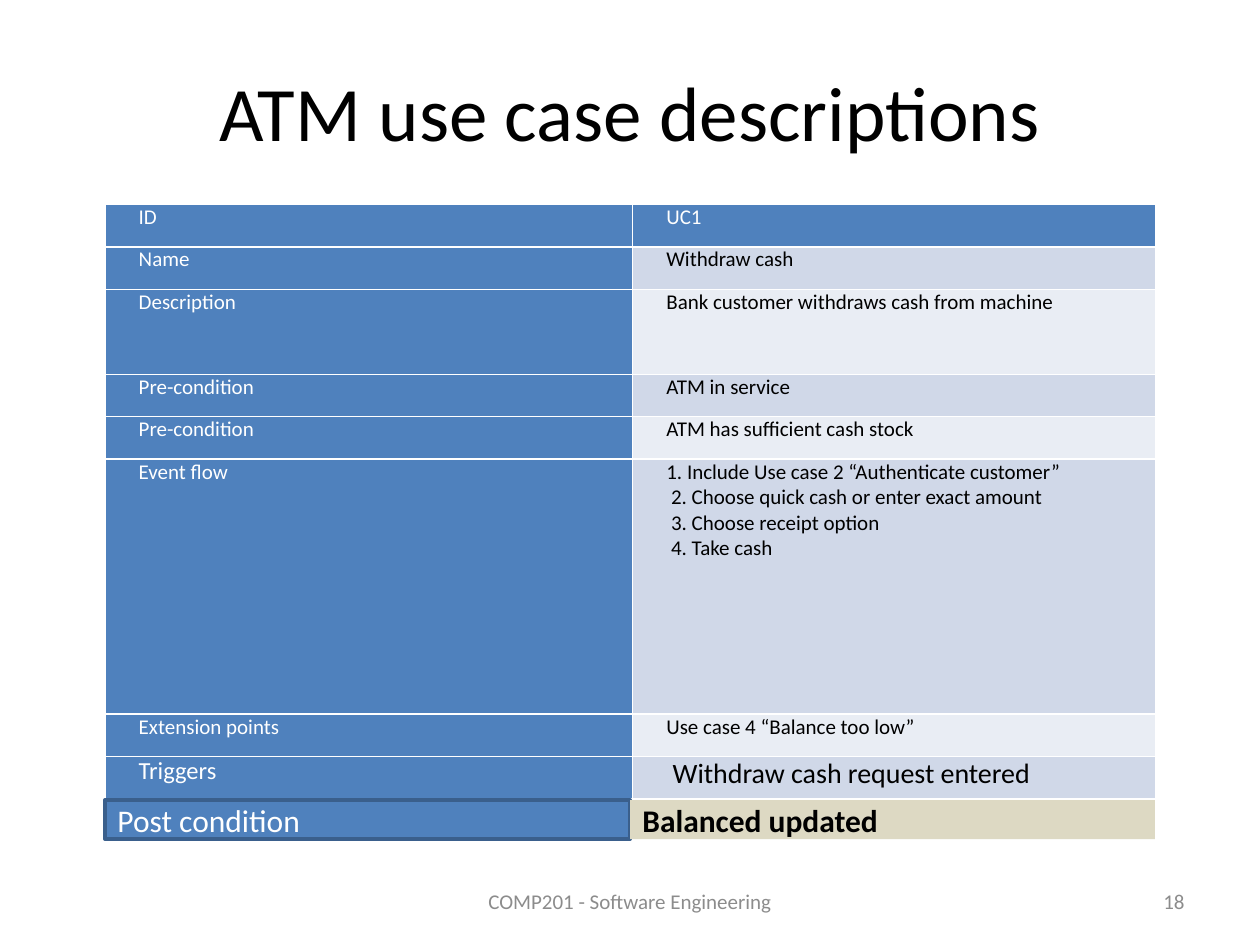
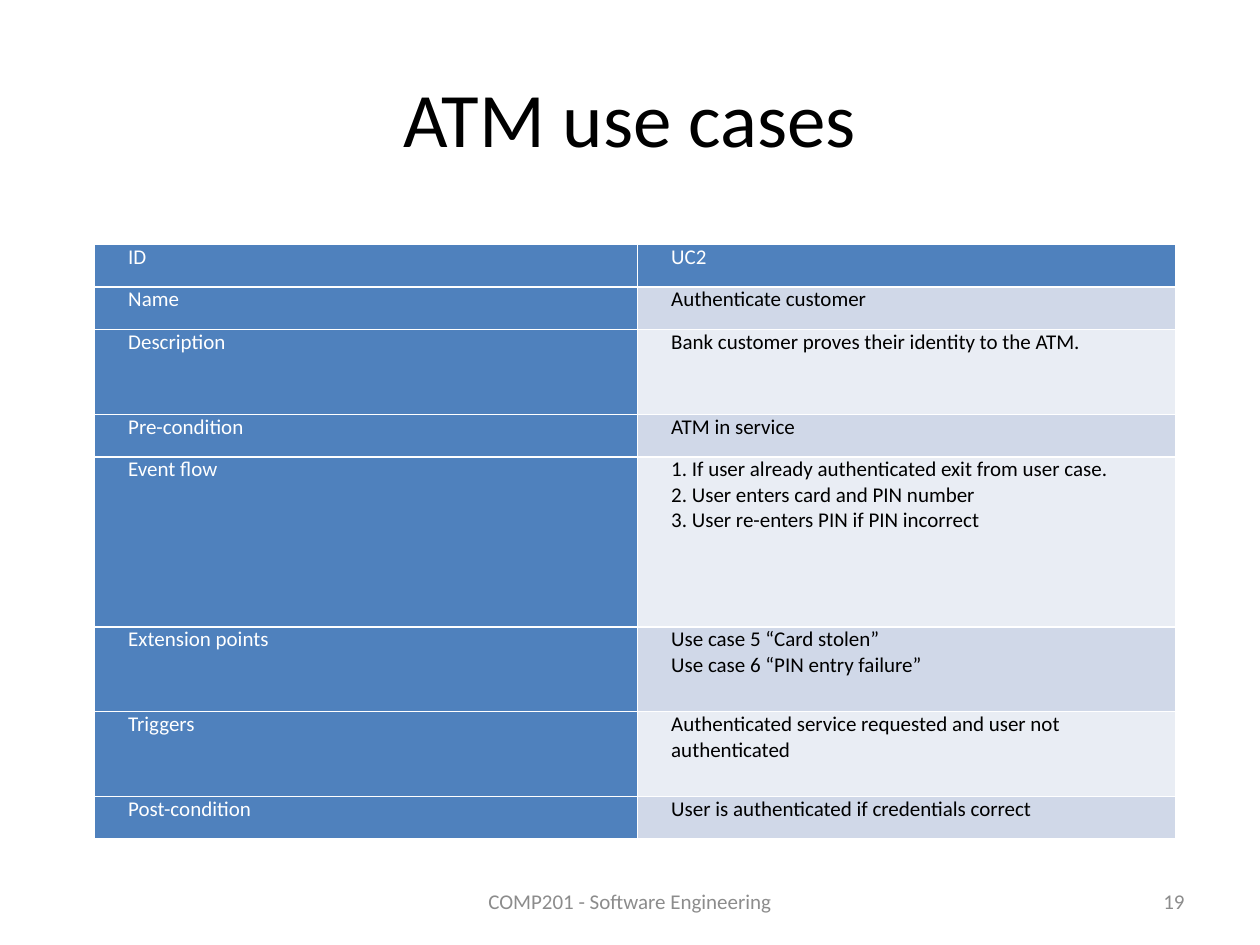
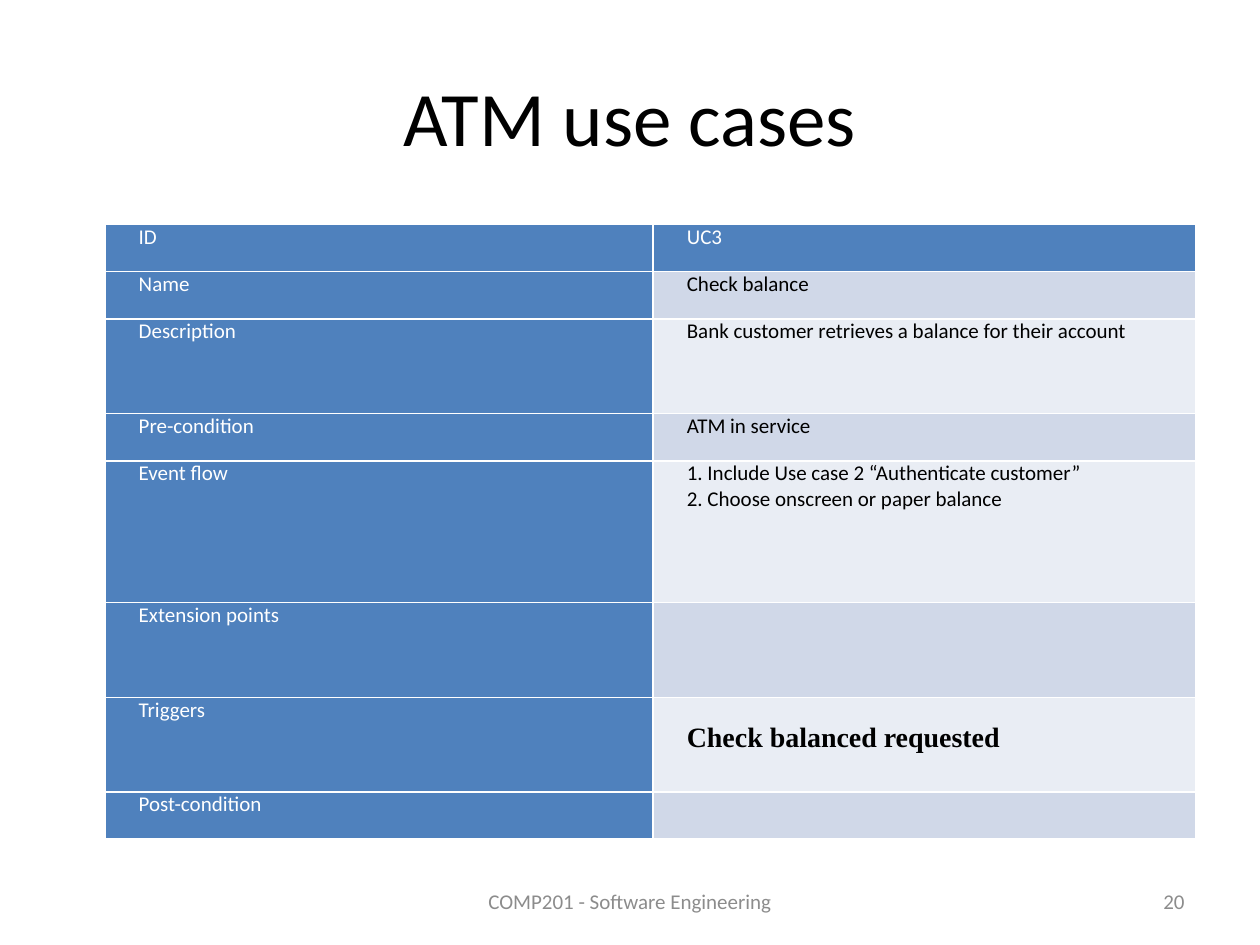
"""Build three slides of ATM use case descriptions, each with one two-column table."""

from dataclasses import dataclass

from pptx import Presentation
from pptx.dml.color import RGBColor
from pptx.enum.shapes import MSO_SHAPE
from pptx.enum.text import MSO_ANCHOR, MSO_AUTO_SIZE, PP_ALIGN
from pptx.slide import Slide
from pptx.table import _Cell
from pptx.text.text import TextFrame
from pptx.util import Pt

BLACK = RGBColor(0x00, 0x00, 0x00)
WHITE = RGBColor(0xFF, 0xFF, 0xFF)
GREY = RGBColor(0x8C, 0x8C, 0x8C)
BLUE = RGBColor(0x4F, 0x81, 0xBD)
DARK_BLUE = RGBColor(0x3A, 0x5F, 0x8C)
BAND_DARK = RGBColor(0xD0, 0xD8, 0xE8)
BAND_LIGHT = RGBColor(0xE9, 0xED, 0xF4)
TAN = RGBColor(0xDD, 0xD9, 0xC3)

BODY_FONT = "Calibri"
FOOTER = "COMP201 - Software Engineering"
FOOTER_TOP = 500.4
FOOTER_HEIGHT = 28.8
FIRST_NUMBER = 18


@dataclass(frozen=True)
class Row:
    """One attribute of a use case; units is its height in table row units."""

    label: str
    value: str = ""
    units: int = 1
    label_size: float = 12
    value_size: float = 12
    value_font: str = BODY_FONT
    value_bold: bool = False
    value_top: float = 0


@dataclass(frozen=True)
class UseCase:
    """A slide title with the table below it."""

    title: str
    title_top: float
    title_height: float
    left: float
    top: float
    columns: tuple[float, float]
    row_unit: float
    rows: tuple[Row, ...]


@dataclass(frozen=True)
class Bar:
    """A filled box that continues the table."""

    text: str
    left: float
    fill: RGBColor
    color: RGBColor
    line: RGBColor | None = None
    bold: bool = False


USE_CASES = (
    UseCase("ATM use case descriptions", 31.7, 62.6, 60, 116.8, (301.5, 299), 24.28, (
        Row("ID", "UC1"),
        Row("Name", "Withdraw cash"),
        Row("Description", "Bank customer withdraws cash from machine", 2),
        Row("Pre-condition", "ATM in service"),
        Row("Pre-condition", "ATM has sufficient cash stock"),
        Row("Event flow", "1. Include Use case 2 “Authenticate customer”\n"
            " 2. Choose quick cash or enter exact amount\n"
            " 3. Choose receipt option\n 4. Take cash", 6),
        Row("Extension points", "Use case 4 “Balance too low”"),
        Row("Triggers", "\u00a0Withdraw cash request entered", label_size=14, value_size=16),
    )),
    UseCase("ATM use cases", 21.6, 90, 54, 139.7, (310.3, 307.4), 24.28, (
        Row("ID", "UC2"),
        Row("Name", "Authenticate customer"),
        Row("Description", "Bank customer proves their identity to the ATM.", 2),
        Row("Pre-condition", "ATM in service"),
        Row("Event flow", "1. If user already authenticated exit from user case.\n"
            "2. User enters card and PIN number\n"
            "3. User re-enters PIN if PIN incorrect", 4),
        Row("Extension points", "Use case 5 “Card stolen”\nUse case 6 “PIN entry failure”", 2),
        Row("Triggers", "Authenticated service requested and user not authenticated", 2),
        Row("Post-condition", "User is authenticated if credentials correct"),
    )),
    UseCase("ATM use cases", 21, 90, 60, 128.2, (313.2, 310.3), 27.03, (
        Row("ID", "UC3"),
        Row("Name", "Check balance"),
        Row("Description", "Bank customer retrieves a balance for their account", 2),
        Row("Pre-condition", "ATM in service"),
        Row("Event flow", "1. Include Use case 2 “Authenticate customer”\n"
            "2. Choose onscreen or paper balance", 3),
        Row("Extension points", units=2),
        Row("Triggers", "Check balanced requested", 2, value_size=16,
            value_font="Times New Roman", value_bold=True, value_top=14.6),
        Row("Post-condition"),
    )),
)

POST_CONDITION = (
    Bar("Post condition", 60, BLUE, WHITE, line=DARK_BLUE),
    Bar("Balanced updated", 360, TAN, BLACK, bold=True),
)


def write_text(
    frame: TextFrame,
    text: str,
    *,
    size: float,
    color: RGBColor,
    font: str = BODY_FONT,
    bold: bool = False,
    align: PP_ALIGN = PP_ALIGN.LEFT,
    indent: float = 0,
) -> None:
    """Write each line of the text as one formatted paragraph."""
    frame.word_wrap = True
    for index, line in enumerate(text.split("\n")):
        paragraph = frame.add_paragraph() if index else frame.paragraphs[0]
        paragraph.alignment = align
        if indent:
            properties = paragraph._p.get_or_add_pPr()
            properties.set("marL", str(Pt(indent)))
            properties.set("indent", "0")
        run = paragraph.add_run()
        run.text = line
        run.font.name = font
        run.font.size = Pt(size)
        run.font.bold = bold
        run.font.color.rgb = color


def add_title(slide: Slide, use_case: UseCase) -> None:
    """Place and format the title placeholder."""
    title = slide.shapes.title
    title.left, title.top = Pt(36), Pt(use_case.title_top)
    title.width, title.height = Pt(648), Pt(use_case.title_height)
    frame = title.text_frame
    frame.auto_size = MSO_AUTO_SIZE.NONE
    frame.vertical_anchor = MSO_ANCHOR.MIDDLE
    write_text(frame, use_case.title, size=44, color=BLACK, align=PP_ALIGN.CENTER)


def add_footer_text(
    slide: Slide, text: str, left: float, width: float, align: PP_ALIGN
) -> None:
    """Add one grey text on the footer line."""
    box = slide.shapes.add_textbox(Pt(left), Pt(FOOTER_TOP), Pt(width), Pt(FOOTER_HEIGHT))
    box.text_frame.vertical_anchor = MSO_ANCHOR.MIDDLE
    write_text(box.text_frame, text, size=12, color=GREY, align=align)


def fill_cell(
    cell: _Cell,
    text: str,
    *,
    fill: RGBColor,
    color: RGBColor,
    size: float,
    font: str = BODY_FONT,
    bold: bool = False,
    top: float = 0,
) -> None:
    """Colour a table cell and write its text, if it has any."""
    cell.fill.solid()
    cell.fill.fore_color.rgb = fill
    cell.margin_left = cell.margin_right = Pt(4.9)
    cell.margin_top, cell.margin_bottom = Pt(top), Pt(0)
    if text:
        write_text(cell.text_frame, text, size=size, color=color, font=font,
                   bold=bold, indent=14.4)


def add_use_case_table(slide: Slide, use_case: UseCase) -> None:
    """Draw the labels in a blue column and the values in banded rows."""
    rows = use_case.rows
    height = use_case.row_unit * sum(row.units for row in rows)
    table = slide.shapes.add_table(
        len(rows), 2, Pt(use_case.left), Pt(use_case.top),
        Pt(sum(use_case.columns)), Pt(height),
    ).table
    table.first_col = True
    for column, width in zip(table.columns, use_case.columns):
        column.width = Pt(width)
    for index, row in enumerate(rows):
        table.rows[index].height = Pt(row.units * use_case.row_unit)
        band = BAND_DARK if index % 2 else BAND_LIGHT
        fill, color = (band, BLACK) if index else (BLUE, WHITE)
        fill_cell(table.cell(index, 0), row.label, fill=BLUE, color=WHITE, size=row.label_size)
        fill_cell(table.cell(index, 1), row.value, fill=fill, color=color, size=row.value_size,
                  font=row.value_font, bold=row.value_bold, top=row.value_top)


def add_bar(slide: Slide, bar: Bar) -> None:
    """Draw a filled box below the table."""
    shape = slide.shapes.add_shape(
        MSO_SHAPE.RECTANGLE, Pt(bar.left), Pt(457.2), Pt(300), Pt(22.4)
    )
    shape.shadow.inherit = False
    shape.fill.solid()
    shape.fill.fore_color.rgb = bar.fill
    if bar.line is None:
        shape.line.fill.background()
    else:
        shape.line.color.rgb = bar.line
        shape.line.width = Pt(2)
    shape.text_frame.vertical_anchor = MSO_ANCHOR.MIDDLE
    write_text(shape.text_frame, bar.text, size=18, color=bar.color, bold=bar.bold)


def main() -> None:
    """Build and save the presentation."""
    presentation = Presentation()
    presentation.slide_width, presentation.slide_height = Pt(720), Pt(540)
    title_only = presentation.slide_layouts.get_by_name("Title Only")
    for number, use_case in enumerate(USE_CASES, FIRST_NUMBER):
        slide = presentation.slides.add_slide(title_only)
        add_title(slide, use_case)
        add_use_case_table(slide, use_case)
        add_footer_text(slide, FOOTER, 246, 228, PP_ALIGN.CENTER)
        add_footer_text(slide, str(number), 516, 168, PP_ALIGN.RIGHT)
    for bar in POST_CONDITION:
        add_bar(presentation.slides[0], bar)
    presentation.save("out.pptx")


main()
